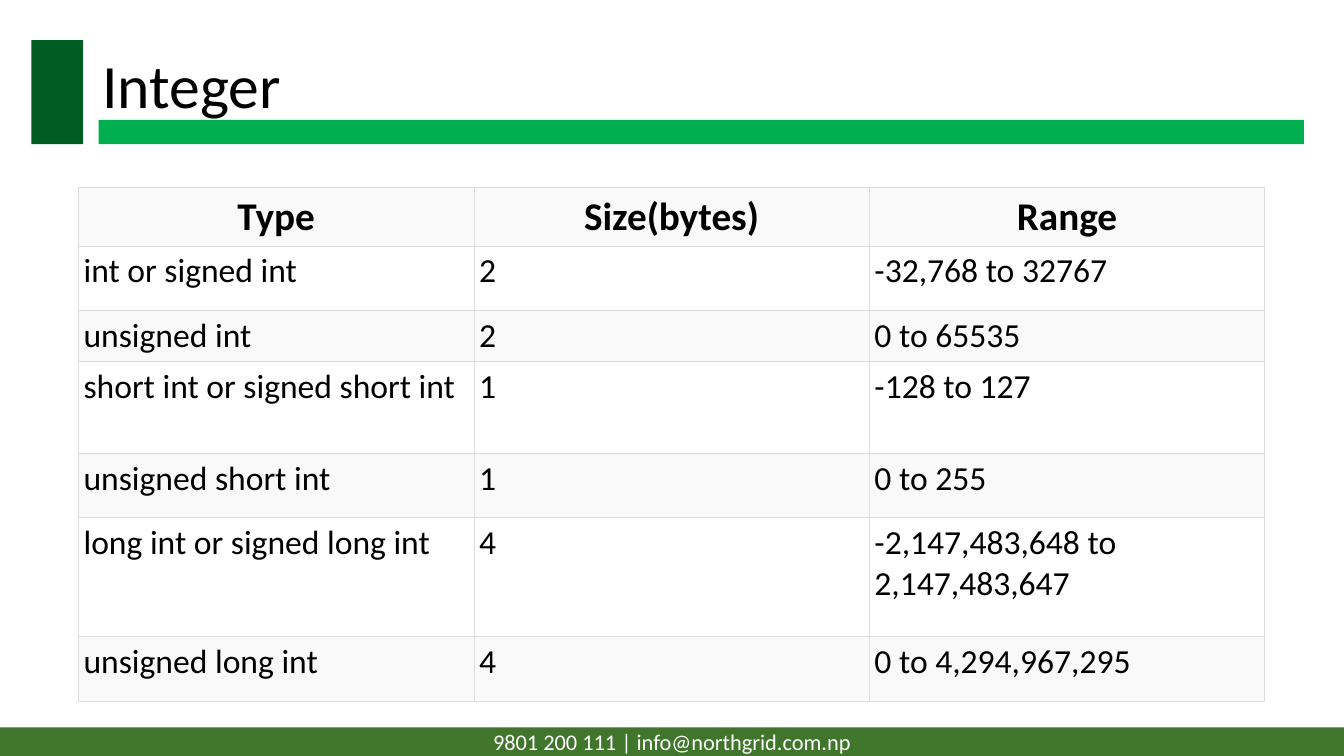
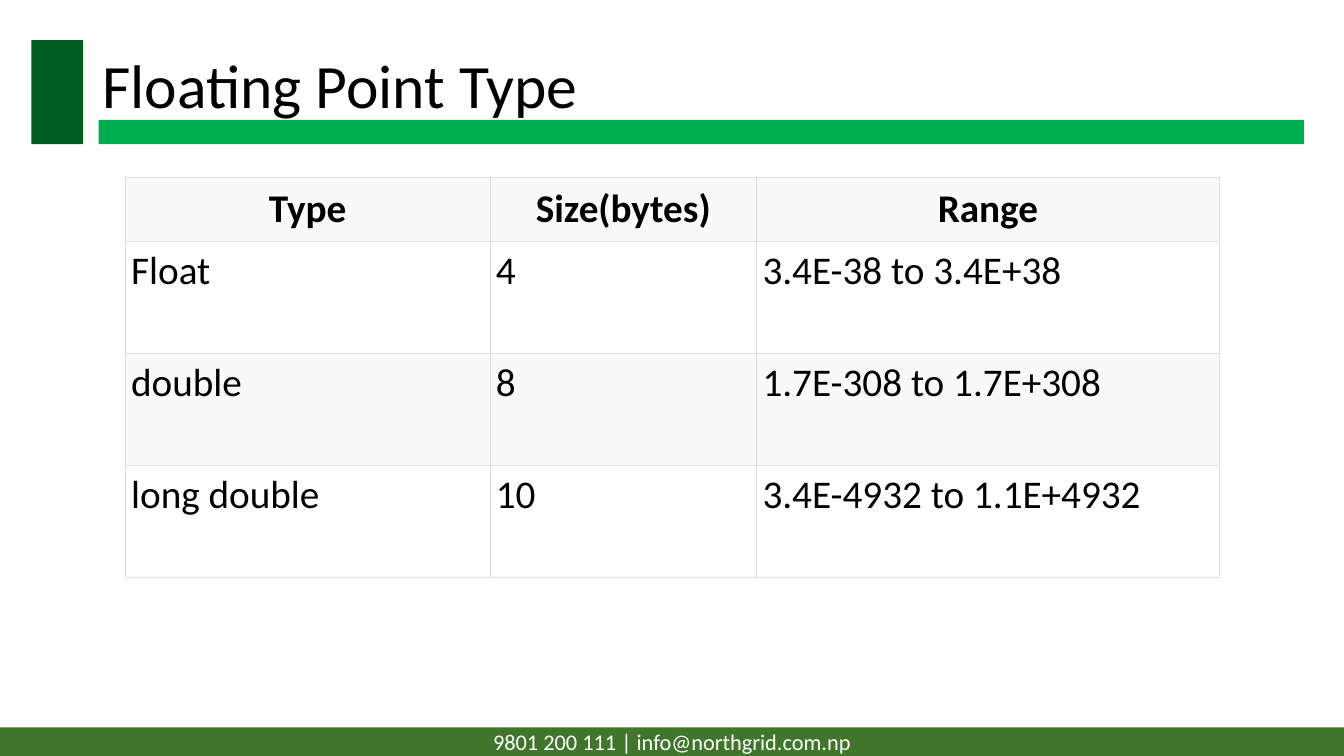
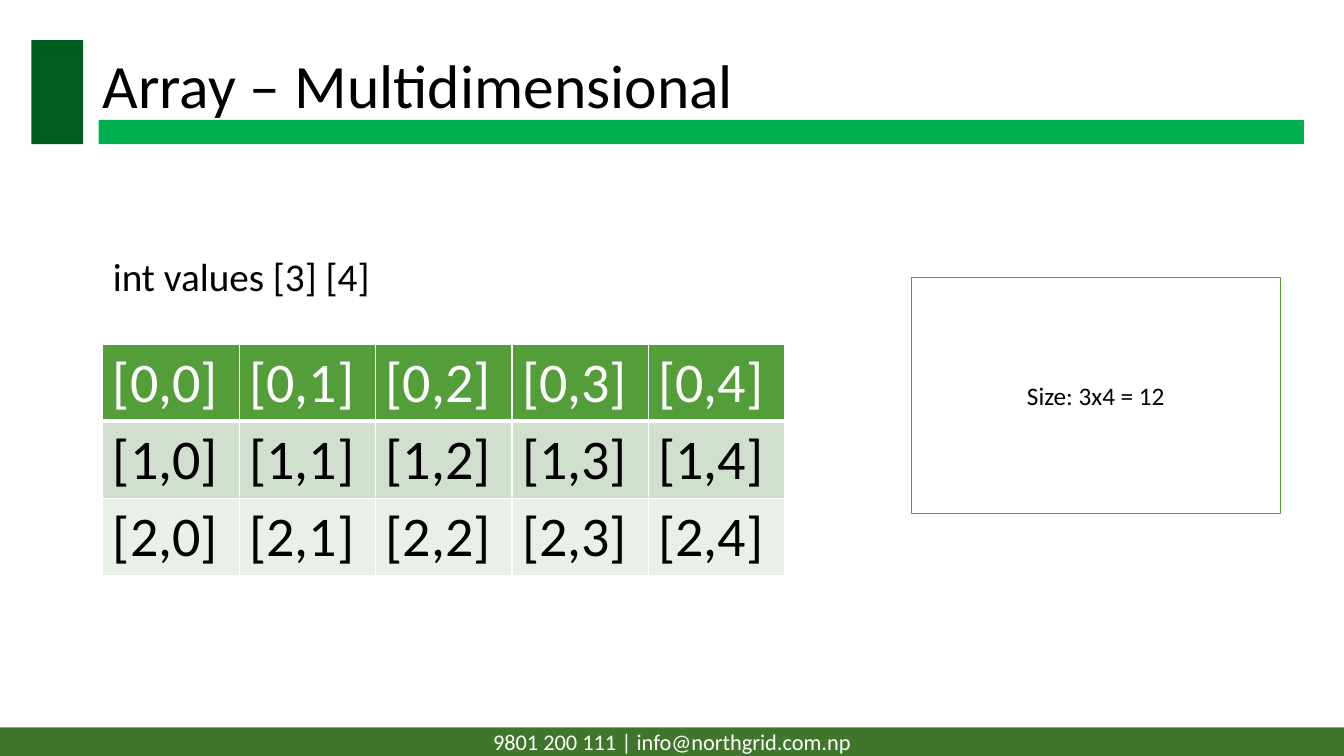
import pptx
import pptx.dml.color
import pptx.enum.shapes
import pptx.enum.text
import pptx.oxml
import pptx.oxml.ns
import pptx.util

Pt = pptx.util.Pt
ALIGN = pptx.enum.text.PP_ALIGN
ANCHOR = pptx.enum.text.MSO_ANCHOR

FONT = "Calibri"
BLACK, WHITE = "000000", "FFFFFF"
BAR_GREEN, BLOCK_GREEN, FOOTER_GREEN = "00B050", "005D22", "3F762B"
ACCENT, ACCENT_MID, ACCENT_PALE = "549E39", "D1DFCE", "E9F0E8"
GRID_GREY, STRIPE_GREY = "DDDDDD", "F9F9F9"
CONTACT = "9801 200 111 | info@northgrid.com.np"
HEADINGS = ["Type", "Size(bytes)", "Range"]

INTEGERS = [
    HEADINGS,
    ["int or signed int", "2", "-32,768 to 32767"],
    ["unsigned int", "2", "0 to 65535"],
    ["short int or signed short int", "1", "-128 to 127"],
    ["unsigned short int", "1", "0 to 255"],
    ["long int or signed long int", "4", "-2,147,483,648 to 2,147,483,647"],
    ["unsigned long int", "4", "0 to 4,294,967,295"],
]
FLOATS = [
    HEADINGS,
    ["Float", "4", "3.4E-38 to 3.4E+38"],
    ["double", "8", "1.7E-308 to 1.7E+308"],
    ["long double", "10", "3.4E-4932 to 1.1E+4932"],
]


def rgb(color):
    return pptx.dml.color.RGBColor.from_string(color)


def set_text(frame, text, size, color=BLACK, align=ALIGN.LEFT, bold=False):
    frame.text = text
    paragraph = frame.paragraphs[0]
    paragraph.alignment = align
    for run in paragraph.runs:
        run.font.name = FONT
        run.font.size = Pt(size)
        run.font.bold = bold
        run.font.color.rgb = rgb(color)


def add_box(slide, left, top, width, height, fill, line=None):
    box = slide.shapes.add_shape(pptx.enum.shapes.MSO_SHAPE.RECTANGLE,
                                 Pt(left), Pt(top), Pt(width), Pt(height))
    box.shadow.inherit = False
    box.fill.solid()
    box.fill.fore_color.rgb = rgb(fill)
    if line:
        box.line.color.rgb = rgb(line)
        box.line.width = Pt(1)
    else:
        box.line.fill.background()
    box.text_frame.vertical_anchor = ANCHOR.MIDDLE
    return box


def add_label(slide, left, top, width, height, text, size):
    label = slide.shapes.add_textbox(Pt(left), Pt(top), Pt(width), Pt(height))
    label.text_frame.word_wrap = True
    set_text(label.text_frame, text, size)


def add_titled_slide(deck, heading):
    slide = deck.slides.add_slide(deck.slide_layouts[5])
    # Shared bands and footer
    add_box(slide, 70.5, 85.7, 861, 17.2, BAR_GREEN)
    add_box(slide, 22.4, 28.6, 37, 74.3, BLOCK_GREEN)
    footer = add_box(slide, 0, 519.5, 960, 20.5, FOOTER_GREEN)
    set_text(footer.text_frame, CONTACT, 16, WHITE, ALIGN.CENTER)
    # Title, brought in front of the bands
    title = slide.shapes.title
    title.left, title.top, title.width, title.height = Pt(66), Pt(10.8), Pt(828), Pt(104.4)
    title.text_frame.auto_size = pptx.enum.text.MSO_AUTO_SIZE.NONE
    title.text_frame.vertical_anchor = ANCHOR.MIDDLE
    set_text(title.text_frame, heading, 44)
    title.text_frame.paragraphs[0].line_spacing = 0.9
    title.element.getparent().append(title.element)
    return slide


def set_borders(cell, color, widths):
    properties = cell._tc.get_or_add_tcPr()
    for side, width in zip("LRTB", widths):
        properties.append(pptx.oxml.parse_xml(
            f'<a:ln{side} {pptx.oxml.ns.nsdecls("a")} w="{Pt(width)}">'
            f'<a:solidFill><a:srgbClr val="{color}"/></a:solidFill></a:ln{side}>'))


def add_grid(slide, left, top, widths, heights, rows):
    grid = slide.shapes.add_table(len(rows), len(widths), Pt(left), Pt(top),
                                  Pt(sum(widths)), Pt(sum(heights))).table
    for column, width in zip(grid.columns, widths):
        column.width = Pt(width)
    for row, height in zip(grid.rows, heights):
        row.height = Pt(height)
    return grid


def style_cell(cell, fill, border, border_widths):
    set_borders(cell, border, border_widths)
    cell.fill.solid()
    cell.fill.fore_color.rgb = rgb(fill)


def add_type_table(slide, left, top, widths, heights, rows, body_size, inset):
    grid = add_grid(slide, left, top, widths, heights, rows)
    for r, values in enumerate(rows):
        header = r == 0
        for c, value in enumerate(values):
            cell = grid.cell(r, c)
            style_cell(cell, WHITE if r % 2 else STRIPE_GREY, GRID_GREY, [0.5] * 4)
            cell.margin_left = cell.margin_right = Pt(inset)
            cell.margin_top = cell.margin_bottom = Pt(inset)
            cell.vertical_anchor = ANCHOR.MIDDLE if header else ANCHOR.TOP
            set_text(cell.text_frame, value, 28 if header else body_size,
                     align=ALIGN.CENTER if header else ALIGN.LEFT, bold=header)


def add_index_table(slide, left, top, column_width, row_height, column_count):
    row_fills = [ACCENT, ACCENT_MID, ACCENT_PALE]
    grid = add_grid(slide, left, top, [column_width] * column_count,
                    [row_height] * len(row_fills), row_fills)
    for r, fill in enumerate(row_fills):
        # A thick rule parts the first row from the rest
        border_widths = [1, 1, 3 if r == 1 else 1, 3 if r == 0 else 1]
        for c in range(column_count):
            cell = grid.cell(r, c)
            style_cell(cell, fill, WHITE, border_widths)
            set_text(cell.text_frame, f"[{r},{c}]", 40, BLACK if r else WHITE)


def main():
    deck = pptx.Presentation()
    deck.slide_width, deck.slide_height = Pt(960), Pt(540)

    # Integer types
    integer = add_titled_slide(deck, "Integer")
    add_type_table(integer, 56, 134, [282.5] * 3, [26.5, 46, 26.5, 65.5, 46, 85, 46],
                   INTEGERS, 24, 3.7)

    # Floating point types
    floating = add_titled_slide(deck, "Floating Point Type")
    add_type_table(floating, 89.5, 126.7, [260.5, 190.5, 330.5], [46, 80, 80, 80],
                   FLOATS, 28, 4.2)

    # Array indices and size
    array = add_titled_slide(deck, "Array – Multidimensional")
    add_label(array, 73.5, 177, 200, 41, "int values [3] [4]", 28)
    size_box = add_box(array, 651, 198.2, 263.5, 168.5, WHITE, ACCENT)
    set_text(size_box.text_frame, "Size: 3x4 = 12", 18, align=ALIGN.CENTER)
    add_index_table(array, 73.5, 245.7, 97.4, 29.2, 5)

    deck.save("out.pptx")


main()
